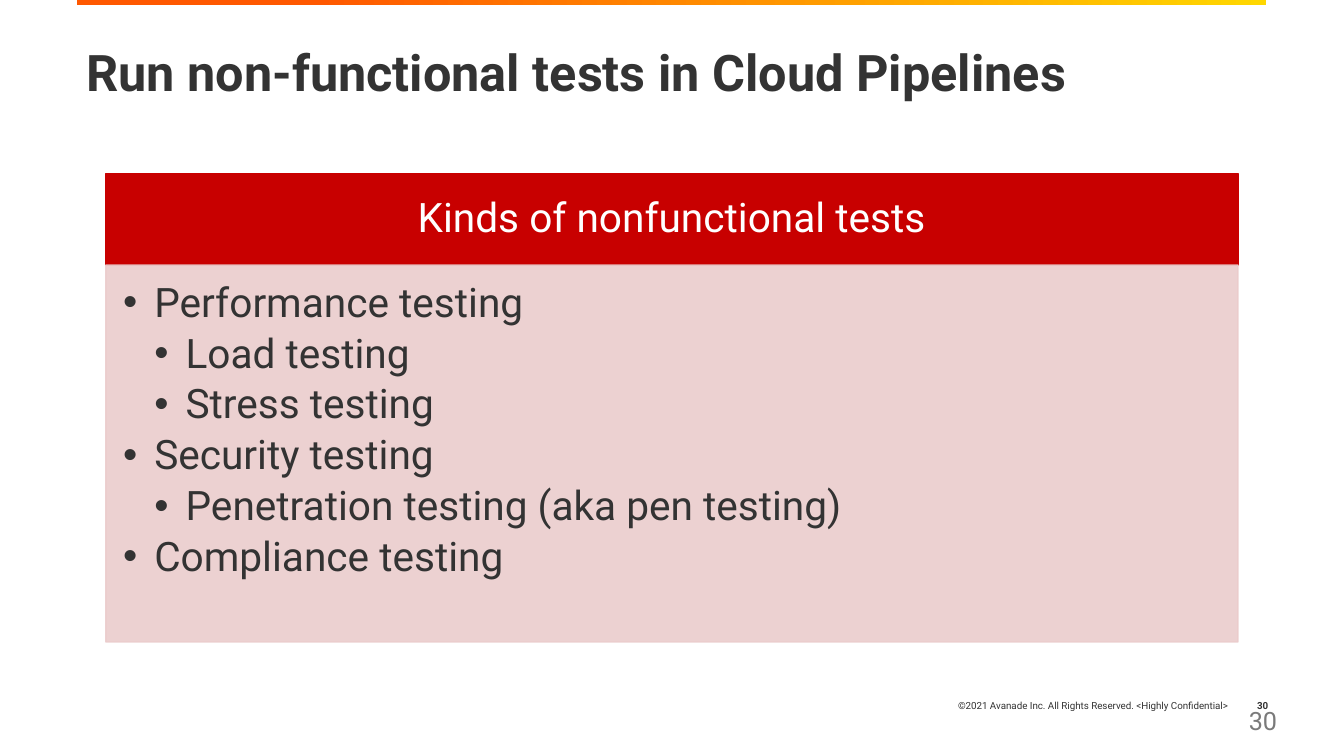
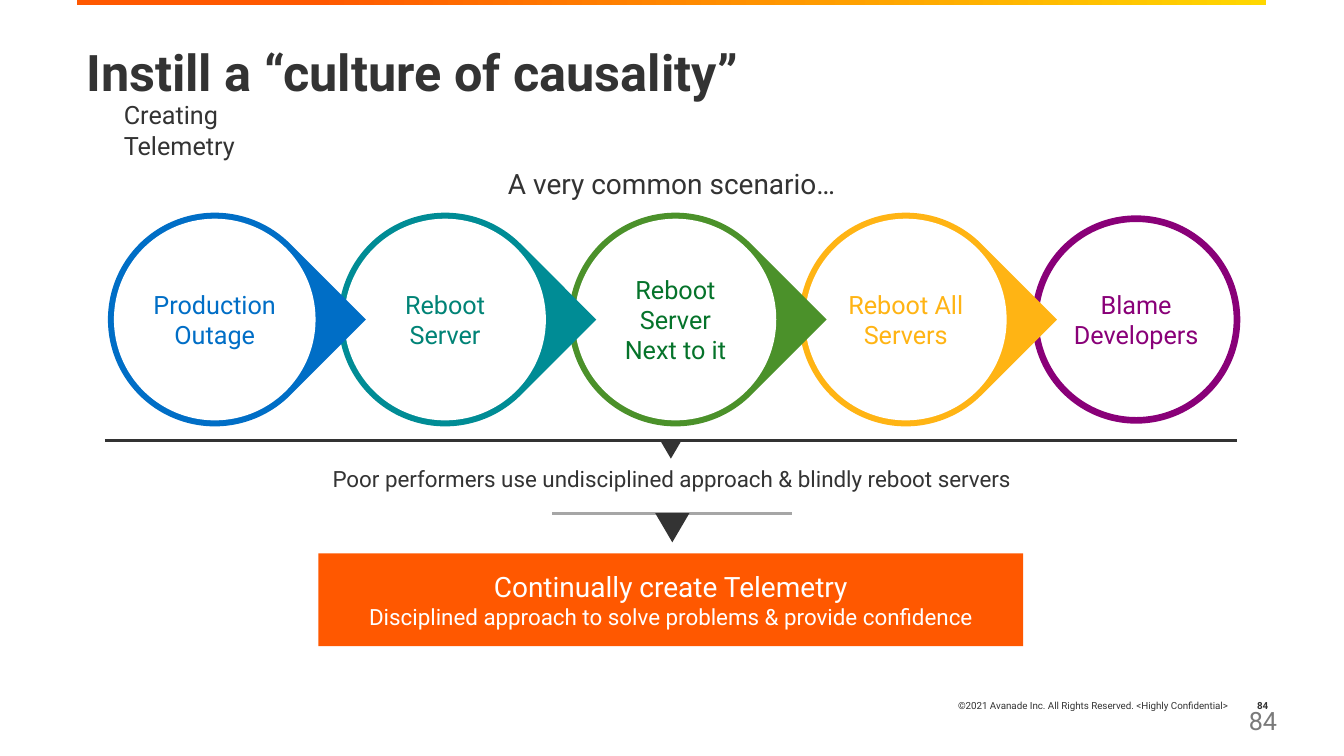
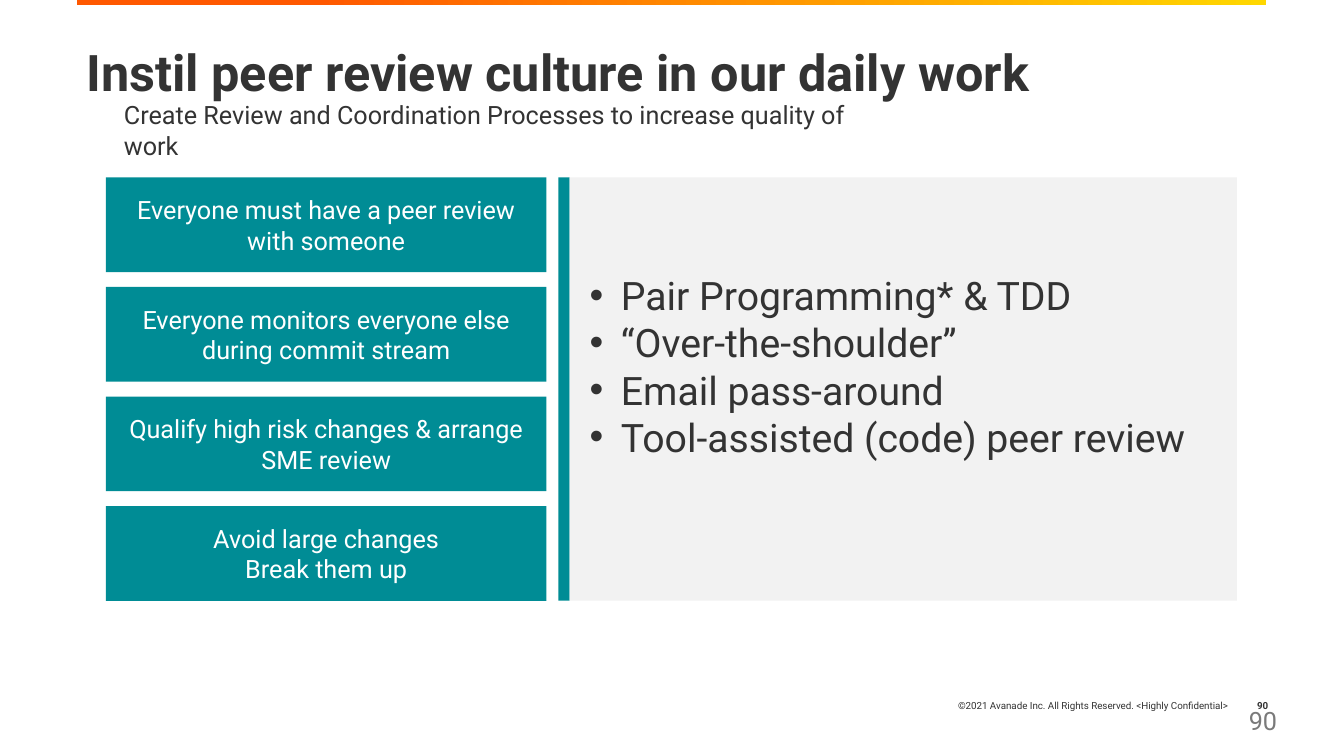
from dataclasses import dataclass, replace
from typing import NamedTuple

from lxml import etree
from pptx import Presentation
from pptx.dml.color import RGBColor
from pptx.enum.shapes import MSO_CONNECTOR, MSO_SHAPE
from pptx.enum.text import MSO_ANCHOR, PP_ALIGN
from pptx.oxml.ns import qn
from pptx.util import Inches, Pt

LEFT, MID, RIGHT = PP_ALIGN.LEFT, PP_ALIGN.CENTER, PP_ALIGN.RIGHT
TOP, CENTRE = MSO_ANCHOR.TOP, MSO_ANCHOR.MIDDLE
RECT, OVAL, DROP = MSO_SHAPE.RECTANGLE, MSO_SHAPE.OVAL, MSO_SHAPE.TEAR
WEDGE = MSO_SHAPE.ISOSCELES_TRIANGLE
STRAIGHT = MSO_CONNECTOR.STRAIGHT
WIDE, HIGH = Inches(13.333), Inches(7.5)
INDENT = Inches(0.31)
PADS = (0.1, 0.05, 0.1, 0.05)


@dataclass(frozen=True)
class Theme:
    font: str = "Roboto"
    ink: str = "333333"
    white: str = "FFFFFF"
    grey: str = "7A7A7A"
    rule: str = "A6A6A6"
    pale: str = "F2F2F2"
    red: str = "C80000"
    pink: str = "EBCCCC"
    orange: str = "FF5800"
    gold: str = "FFD700"
    teal: str = "008C95"
    title: float = 36
    table: float = 29
    list: float = 28
    lead: float = 20
    body: float = 18
    note: float = 16
    foot: float = 7


THEME = Theme()


class Box(NamedTuple):
    """Place and size in hundredths of the slide's width and height."""
    x: float
    y: float
    w: float
    h: float

    def emu(self) -> tuple:
        return (int(WIDE * self.x / 100), int(HIGH * self.y / 100),
                int(WIDE * self.w / 100), int(HIGH * self.h / 100))


class Para(NamedTuple):
    text: str
    level: int = 0
    size: float | None = None


class Step(NamedTuple):
    text: str
    ring: str
    ink: str


class Mark(NamedTuple):
    """A rule with a wedge hanging from its middle."""
    x: float
    y: float
    w: float
    color: str
    wedge: tuple


BAND = Box(5.7, 0, 88.5, 0.67)
TITLE = Box(5.7, 5.73, 88.43, 14.53)
FOOT = Box(58.35, 90.67, 33.75, 5.33)
COUNT = Box(91.5, 90.67, 3.6, 5.33)
PAGE = Box(92.18, 92.67, 4.05, 5.33)
SUB = Box(8.48, 12.53, 16.43, 5.33)
HEAD = Box(7.88, 22.93, 84.23, 12.13)
RING = Box(8.48, 28.93, 15, 26.67)
TEAR = Box(8.03, 28.13, 15.9, 28.27)
PITCH = 17.14
SCENE = Box(7.95, 21.33, 84.08, 5.87)
CALL = Box(23.7, 73.2, 52.43, 12.27)
RULE = Box(7.88, 23.47, 32.78, 12.53)
STACK = 56

KINDS = [
    Para("Performance testing", 1),
    Para("Load testing", 2),
    Para("Stress testing", 2),
    Para("Security testing", 1),
    Para("Penetration testing (aka pen testing)", 2),
    Para("Compliance testing", 1),
]
STEPS = [
    Step("Production Outage", "006EC6", "006EC6"),
    Step("Reboot Server", "008C95", "008376"),
    Step("Reboot Server Next to it", "4B912A", "05732A"),
    Step("Reboot All Servers", "FFB414", "FFB414"),
    Step("Blame Developers", "890078", "890078"),
]
MARKS = [
    Mark(7.8, 58.27, 84.23, THEME.ink, (1.58, 2.4)),
    Mark(41.1, 67.87, 17.85, THEME.rule, (2.55, 3.87)),
]
RULES = [
    [Para("Everyone must have a peer review\vwith someone")],
    [Para("Everyone monitors everyone else during commit stream")],
    [Para("Qualify high risk changes & arrange SME review")],
    [Para("Avoid large changes"), Para("Break them up")],
]
WAYS = [
    Para("Pair Programming* & TDD", 1),
    Para("“Over-the-shoulder”", 1),
    Para("Email pass-around", 1),
    Para("Tool-assisted (code) peer review", 1),
]


def dot(para, level: int) -> None:
    """Give a paragraph a hanging bullet."""
    props = para._p.get_or_add_pPr()
    props.set("marL", str(INDENT * level))
    props.set("indent", str(-INDENT))
    etree.SubElement(props, qn("a:buFont")).set("typeface", "Arial")
    etree.SubElement(props, qn("a:buChar")).set("char", "•")


def write(shape, text: str | list[Para], *, size: float = THEME.body,
          color: str = THEME.ink, bold: bool = False, align=LEFT, anchor=TOP,
          pads: tuple = PADS, lead: float = 1, after: float = 0) -> None:
    frame = shape.text_frame
    frame.word_wrap = True
    frame.vertical_anchor = anchor
    (frame.margin_left, frame.margin_top,
     frame.margin_right, frame.margin_bottom) = map(Inches, pads)
    items = [Para(text)] if isinstance(text, str) else text
    for i, item in enumerate(items):
        para = frame.paragraphs[0] if i == 0 else frame.add_paragraph()
        para.text = item.text
        if item.level:
            dot(para, item.level)
        para.alignment = align
        para.line_spacing = lead
        para.space_after = Pt(after)
        for run in para.runs:
            font = run.font
            font.name, font.bold = THEME.font, bold
            font.size = Pt(item.size or size)
            font.color.rgb = RGBColor.from_string(color)


def label(slide, box: Box, text: str, **style) -> None:
    write(slide.shapes.add_textbox(*box.emu()), text, **style)


def draw(slide, kind, box: Box, fill: str | None = None,
         edge: str | None = None, width: float = 1, turn: float = 0):
    shape = slide.shapes.add_shape(kind, *box.emu())
    shape.shadow.inherit = False
    shape.rotation = turn
    if fill:
        shape.fill.solid()
        shape.fill.fore_color.rgb = RGBColor.from_string(fill)
    else:
        shape.fill.background()
    if edge:
        shape.line.color.rgb = RGBColor.from_string(edge)
        shape.line.width = Pt(width)
    else:
        shape.line.fill.background()
    return shape


def fade(shape, share: int) -> None:
    """Set the opacity of fill and line, in percent."""
    for color in shape._element.spPr.iter(qn("a:srgbClr")):
        etree.SubElement(color, qn("a:alpha")).set("val", str(share * 1000))


def start(deck, title: str, page: int):
    """Add a slide with the shared band, title and footer."""
    slide = deck.slides.add_slide(deck.slide_layouts[6])
    band = draw(slide, RECT, BAND)
    band.fill.gradient()
    band.fill.gradient_angle = 0
    ends = ((0.2, THEME.orange), (1, THEME.gold))
    for stop, (spot, color) in zip(band.fill.gradient_stops, ends):
        stop.position = spot
        stop.color.rgb = RGBColor.from_string(color)
    foot = dict(size=THEME.foot, align=RIGHT, anchor=CENTRE)
    label(slide, FOOT,
          "©2021 Avanade Inc. All Rights Reserved. <Highly Confidential>",
          **foot)
    label(slide, COUNT, str(page), bold=True, **foot)
    label(slide, PAGE, str(page), color=THEME.grey)
    label(slide, TITLE, title, size=THEME.title, bold=True, lead=0.9)
    return slide


def hang(slide, mark: Mark) -> None:
    """Draw a rule and the wedge below it."""
    x, y, w, _ = Box(mark.x, mark.y, mark.w, 0).emu()
    line = slide.shapes.add_connector(STRAIGHT, x, y, x + w, y)
    line.line.color.rgb = RGBColor.from_string(mark.color)
    line.line.width = Pt(2.25)
    etree.SubElement(line._element.spPr, qn("a:effectLst"))
    wide, high = mark.wedge
    spot = Box(mark.x + (mark.w - wide) / 2, mark.y, wide, high)
    draw(slide, WEDGE, spot, THEME.ink, turn=180)


def tests(deck) -> None:
    slide = start(deck, "Run non-functional tests in Cloud Pipelines", 30)
    head = draw(slide, RECT, HEAD, THEME.red, THEME.red)
    write(head, "Kinds of nonfunctional tests", size=THEME.table,
          color=THEME.white, align=MID, anchor=CENTRE, lead=0.9,
          pads=(0.23, 0.13, 0.23, 0.13))
    spot = HEAD._replace(y=HEAD.y + HEAD.h, h=49.87)
    body = draw(slide, RECT, spot, THEME.pink, THEME.pink)
    fade(body, 90)
    write(body, KINDS, size=THEME.table, lead=0.9, after=5,
          pads=(0.17, 0.17, 0.23, 0.25))


def cause(deck) -> None:
    slide = start(deck, "Instill a “culture of causality”", 84)
    last = len(STEPS) - 1
    for i in range(last, -1, -1):
        step = STEPS[i]
        spot = RING._replace(x=RING.x + i * PITCH)
        if i == last:
            ring = draw(slide, OVAL, spot, edge=step.ring, width=4.75)
        else:
            tear = TEAR._replace(x=TEAR.x + i * PITCH)
            draw(slide, DROP, tear, step.ring, turn=45)
            ring = draw(slide, OVAL, spot, THEME.white)
        write(ring, step.text, color=step.ink, align=MID, anchor=CENTRE,
              pads=(0, 0, 0, 0) if i == last else PADS)
    label(slide, SCENE, "A very common scenario…", size=THEME.lead, align=MID)
    label(slide, SCENE._replace(y=60.93, h=4.93),
          "Poor performers use undisciplined approach & "
          "blindly reboot servers", size=THEME.note, align=MID)
    for mark in MARKS:
        hang(slide, mark)
    write(draw(slide, RECT, CALL, THEME.orange),
          [Para("Continually create Telemetry", size=THEME.lead),
           Para("Disciplined approach to solve problems & "
                "provide confidence", size=THEME.note)],
          color=THEME.white, align=MID, anchor=CENTRE)
    label(slide, SUB, "Creating Telemetry")


def review(deck) -> None:
    slide = start(deck, "Instil peer review culture in our daily work", 90)
    pitch = (STACK - RULE.h) / (len(RULES) - 1)
    for i, rule in enumerate(RULES):
        spot = RULE._replace(y=RULE.y + i * pitch)
        write(draw(slide, RECT, spot, THEME.teal), rule,
              color=THEME.white, align=MID, anchor=CENTRE)
    bar = Box(41.55, RULE.y, 0.83, STACK)
    draw(slide, RECT, bar, THEME.teal)
    panel = bar._replace(x=bar.x + bar.w, w=49.65)
    write(draw(slide, RECT, panel, THEME.pale), WAYS, size=THEME.list,
          anchor=CENTRE, pads=(0.2, 0.05, 0.1, 0.51))
    label(slide, SUB._replace(w=56.48),
          "Create Review and Coordination Processes "
          "to increase quality of work")


def main() -> None:
    deck = Presentation()
    deck.slide_width, deck.slide_height = WIDE, HIGH
    for build in (tests, cause, review):
        build(deck)
    deck.save("out.pptx")


if __name__ == "__main__":
    main()
